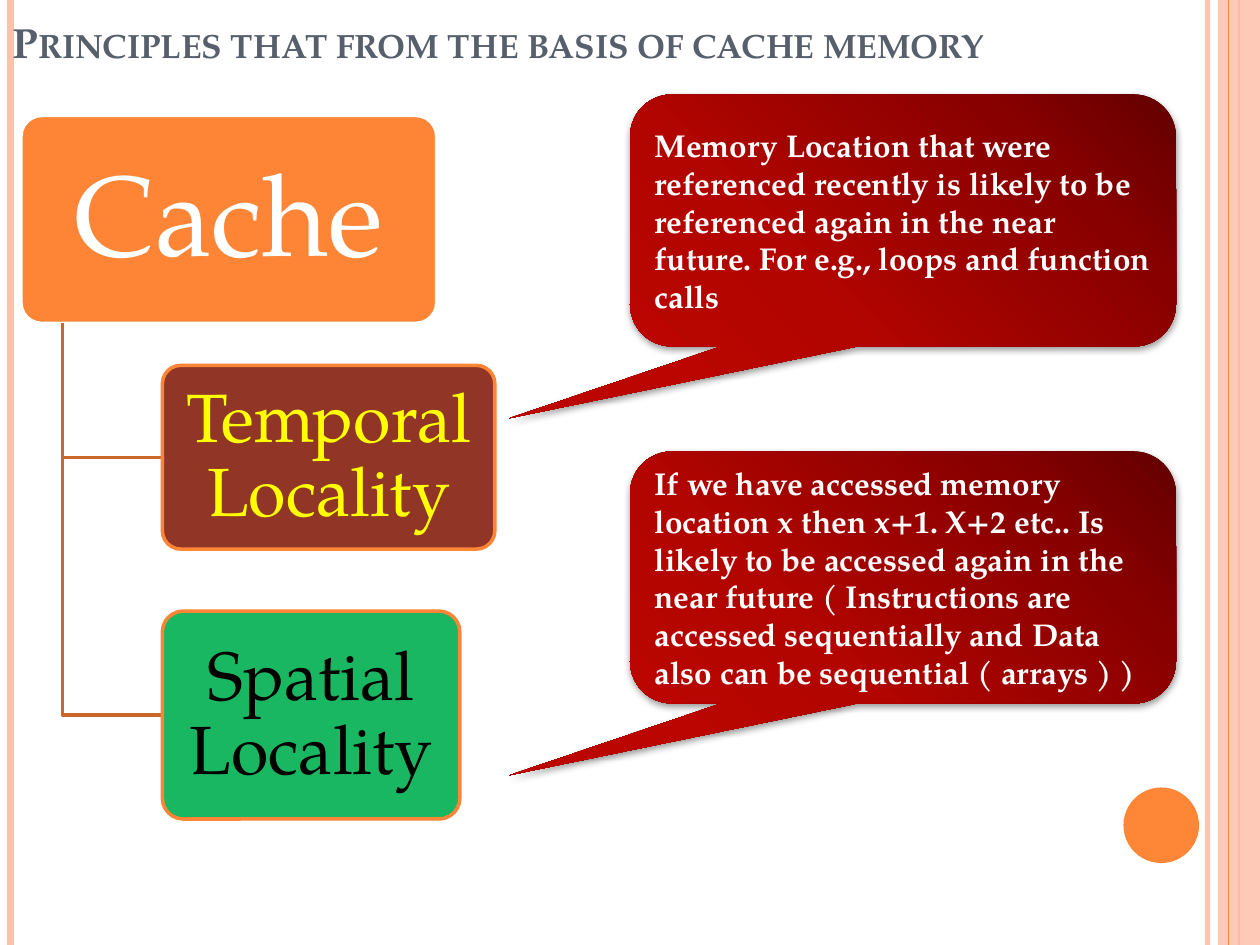
from lxml import etree
from pptx import Presentation
from pptx.dml.color import RGBColor
from pptx.enum import shapes, text
from pptx.oxml import parse_xml
from pptx.oxml.ns import nsdecls, qn
from pptx.util import Pt

FONT = "TeX Gyre Pagella"
WHITE = RGBColor(0xFF, 0xFF, 0xFF)
BLACK = RGBColor(0x00, 0x00, 0x00)
YELLOW = RGBColor(0xFF, 0xFF, 0x00)
SLATE = RGBColor(0x57, 0x5F, 0x6D)
PEACH = RGBColor(0xFE, 0xC2, 0xAC)
ORANGE = RGBColor(0xFE, 0x86, 0x37)
NODE_ORANGE = RGBColor(0xFD, 0x85, 0x35)
BRANCH = RGBColor(0xC9, 0x68, 0x28)
BROWN = RGBColor(0x86, 0x21, 0x10)
GREEN = RGBColor(0x00, 0xB0, 0x50)
RED_STOPS = [(0, RGBColor(0xBA, 0x05, 0x00)), (30, RGBColor(0xB2, 0x05, 0x00)),
             (75, RGBColor(0x89, 0x00, 0x00)), (100, RGBColor(0x63, 0x00, 0x00))]


def set_alpha(shape, percent):
    """Make the first colour of the shape partly transparent."""
    color = next(shape.element.iter(qn("a:srgbClr")))
    etree.SubElement(color, qn("a:alpha"), val=str(percent * 1000))


def write(shape, words, size, color, align, anchor, insets, bold=False):
    frame = shape.text_frame
    frame.word_wrap = True
    frame.auto_size = text.MSO_AUTO_SIZE.NONE
    frame.vertical_anchor = anchor
    frame.margin_left = frame.margin_right = Pt(insets[0])
    frame.margin_top = frame.margin_bottom = Pt(insets[1])
    para = frame.paragraphs[0]
    para.text = words
    para.alignment = align
    font = para.font
    font.name, font.size, font.bold = FONT, Pt(size), bold
    font.color.rgb = color
    return para


def add_block(page, kind, box, fill=None, line=None):
    shape = page.shapes.add_shape(kind, *(Pt(value) for value in box))
    shape.shadow.inherit = False
    if fill is not None:
        shape.fill.solid()
        shape.fill.fore_color.rgb = fill
    if line is None:
        shape.line.fill.background()
    else:
        shape.line.color.rgb = line
        shape.line.width = Pt(2)
    return shape


def add_stripe(page, x, height, color, width):
    stripe = page.shapes.add_connector(
        shapes.MSO_CONNECTOR.STRAIGHT, Pt(x), Pt(0), Pt(x), Pt(height))
    stripe.line.color.rgb = color
    stripe.line.width = Pt(width)
    etree.SubElement(stripe.element.spPr, qn("a:effectLst"))
    return stripe


def add_frame(page, box):
    """Vertical stripes at the page edges and the orange disc."""
    left, top, width, height = box
    right = left + width
    set_alpha(add_stripe(page, right - 30, height, PEACH, 3), 93)
    add_stripe(page, left + 6, height, PEACH, 4.5)
    add_stripe(page, right - 12, height, ORANGE, 1.5)
    band = add_block(page, shapes.MSO_SHAPE.RECTANGLE, (right - 24, top, 24, height), PEACH)
    set_alpha(band, 87)
    add_stripe(page, right - 18, height, ORANGE, 0.75)
    add_block(page, shapes.MSO_SHAPE.OVAL, (right - 78, top + 450, 43.2, 43.2), ORANGE)


def add_title(page, box, words):
    title = page.shapes.title
    title.left, title.top, title.width, title.height = (Pt(value) for value in box)
    para = write(title, words, 24, SLATE, text.PP_ALIGN.LEFT,
                 text.MSO_ANCHOR.BOTTOM, (7.2, 3.6), bold=True)
    para.font._element.set("cap", "small")
    title.element.getparent().append(title.element)  # in front of the stripes


def add_node(page, box, words, size, color, fill, line, insets):
    node = add_block(page, shapes.MSO_SHAPE.ROUNDED_RECTANGLE, box, fill, line)
    node.adjustments[0] = 0.1
    para = write(node, words, size, color, text.PP_ALIGN.CENTER,
                 text.MSO_ANCHOR.MIDDLE, insets)
    para.line_spacing = 0.9
    return node


def add_branch(page, x, top, end_x, end_y):
    builder = page.shapes.build_freeform(Pt(x), Pt(top))
    builder.add_line_segments([(Pt(x), Pt(end_y)), (Pt(end_x), Pt(end_y))], close=False)
    branch = builder.convert_to_shape()
    branch.shadow.inherit = False
    branch.fill.background()
    branch.line.color.rgb = BRANCH
    branch.line.width = Pt(2)


def add_tree(page, box, children):
    """Root node, with children hung from a trunk at a tenth of its width."""
    left, top, width, height = box
    add_node(page, box, "Cache", 65, WHITE, NODE_ORANGE, WHITE, (13.5, 10))
    trunk, child_left = left + width * 0.1, left + width * 0.34
    for words, child_top, child_width, child_height, color, fill in children:
        add_branch(page, trunk, top + height, child_left, child_top + child_height / 2)
        child = (child_left, child_top, child_width, child_height)
        node = add_node(page, child, words, 39, color, fill, NODE_ORANGE, (8.9, 6.5))
        set_alpha(node, 90)


def add_callout(page, box, words):
    callout = add_block(page, shapes.MSO_SHAPE.ROUNDED_RECTANGULAR_CALLOUT, box)
    for index, value in enumerate((-0.721, 0.785, 0.167)):
        callout.adjustments[index] = value
    # Red glow from the lower left corner
    stops = "".join(f'<a:gs pos="{place * 1000}"><a:srgbClr val="{color}"/></a:gs>'
                    for place, color in RED_STOPS)
    gradient = parse_xml(
        f'<a:gradFill {nsdecls("a")} rotWithShape="1"><a:gsLst>{stops}</a:gsLst>'
        '<a:path path="circle"><a:fillToRect t="100000" r="100000"/></a:path></a:gradFill>')
    properties = callout.element.spPr
    properties.find(qn("a:prstGeom")).addnext(gradient)
    # Soft shadow below
    properties.find(qn("a:effectLst")).append(parse_xml(
        f'<a:outerShdw {nsdecls("a")} blurRad="{Pt(4)}" dist="{Pt(1.6)}" dir="5400000"'
        ' rotWithShape="0"><a:srgbClr val="000000"><a:alpha val="42000"/></a:srgbClr>'
        '</a:outerShdw>'))
    write(callout, words, 18, WHITE, text.PP_ALIGN.LEFT,
          text.MSO_ANCHOR.MIDDLE, (7.2, 3.6), bold=True)


def main():
    deck = Presentation()
    deck.slide_width, deck.slide_height = Pt(720), Pt(540)
    page = deck.slides.add_slide(deck.slide_layouts[5])

    add_frame(page, (0, 0, 720, 540))
    add_title(page, (0, 0, 720, 42), "Principles that from the basis of cache memory")
    add_tree(page, (12, 66, 237.6, 118.8), [
        ("Temporal Locality", 208.8, 190, 105, YELLOW, BROWN),
        ("Spatial Locality", 349.2, 170, 118.8, BLACK, GREEN),
    ])
    explanations = [
        "Memory Location that were referenced recently is likely to be referenced "
        "again in the near future. For e.g., loops and function calls",
        "If we have accessed memory location x then x+1. X+2 etc.. Is likely to be "
        "accessed again in the near future ( Instructions are accessed sequentially "
        "and Data also can be sequential ( arrays ) )",
    ]
    for index, words in enumerate(explanations):
        add_callout(page, (360, 54 + 204 * index, 312, 144), words)

    deck.save("out.pptx")


if __name__ == "__main__":
    main()
